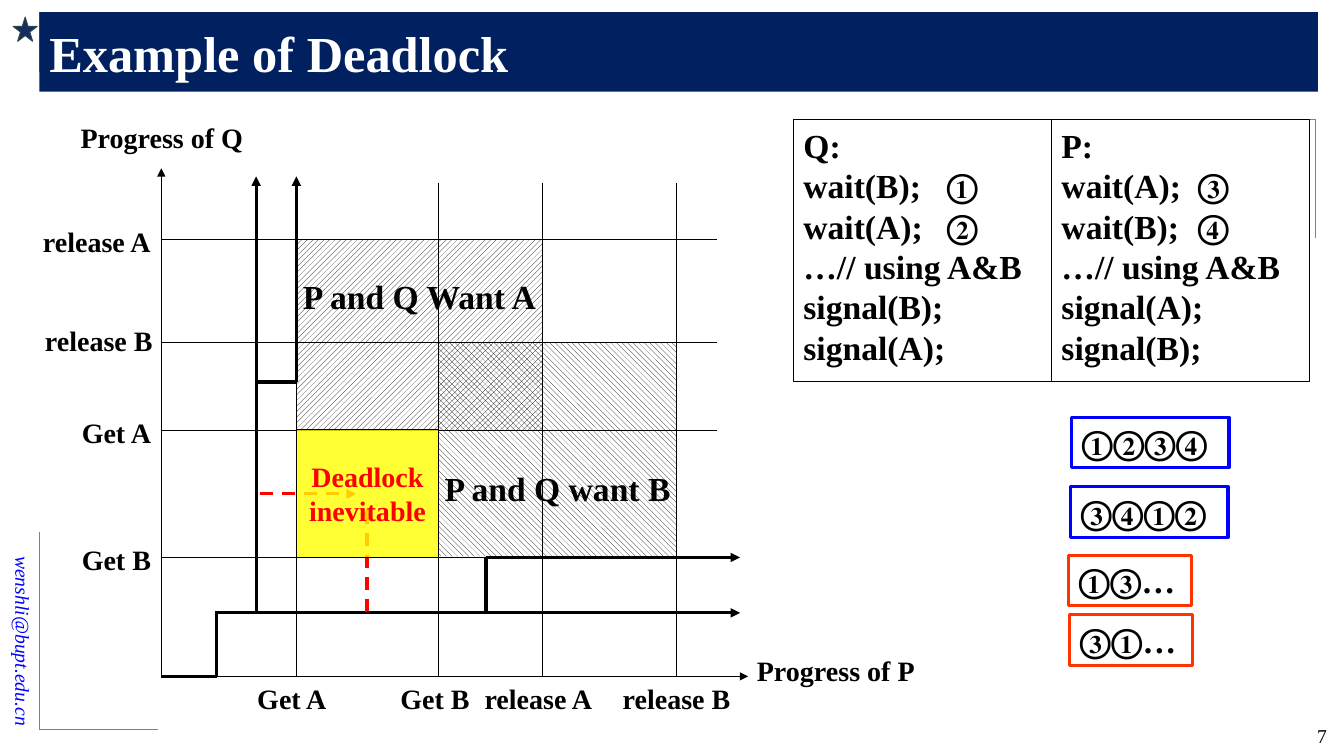
from lxml.etree import SubElement
from pptx import Presentation
from pptx.dml.color import RGBColor
from pptx.enum.dml import MSO_LINE as Dash, MSO_PATTERN as Pattern
from pptx.enum.shapes import MSO_CONNECTOR as Connector, MSO_SHAPE as Shape
from pptx.enum.text import MSO_ANCHOR as Anchor, PP_ALIGN as Align
from pptx.oxml.ns import qn
from pptx.util import Emu, Pt

PX = 9144  # 100 px to the inch

BLACK = RGBColor(0x00, 0x00, 0x00)
WHITE = RGBColor(0xFF, 0xFF, 0xFF)
GREY = RGBColor(0x80, 0x80, 0x80)
NAVY = RGBColor(0x00, 0x20, 0x60)
STAR_FILL = RGBColor(0x17, 0x2E, 0x5C)
STAR_LINE = RGBColor(0x2A, 0x48, 0x54)
BLUE = RGBColor(0x00, 0x00, 0xFF)
RED = RGBColor(0xFF, 0x00, 0x00)
ORANGE = RGBColor(0xFF, 0x33, 0x00)
YELLOW = RGBColor(0xFF, 0xFF, 0x00)


def px(length):
    return Emu(length * PX)


def write_text(shape, text, size=20, color=BLACK, bold=True, italic=False, align=Align.LEFT,
               anchor=Anchor.TOP, wrap=False, tab=None, inset_top=5, inset_bottom=5):
    """Write one paragraph per line of text; tab is a tab stop in px."""
    frame = shape.text_frame
    frame.word_wrap = wrap
    frame.vertical_anchor = anchor
    frame.margin_top, frame.margin_bottom = px(inset_top), px(inset_bottom)
    for index, line in enumerate(text.split("\n")):
        para = frame.add_paragraph() if index else frame.paragraphs[0]
        para.alignment = align
        if tab:
            stops = SubElement(para._p.get_or_add_pPr(), qn("a:tabLst"))
            SubElement(stops, qn("a:tab"), pos=str(px(tab)), algn="l")
        span = para.add_run()
        span.text = line
        font = span.font
        font.name, font.size, font.bold, font.italic = "Times New Roman", Pt(size), bold, italic
        font.color.rgb = color


class DeadlockSlide:
    def __init__(self, deck):
        self.shapes = deck.slides.add_slide(deck.slide_layouts[6]).shapes

    def text(self, x, y, width, height, text, rotation=0, **style):
        box = self.shapes.add_textbox(px(x), px(y), px(width), px(height))
        box.rotation = rotation
        write_text(box, text, **style)

    def box(self, x, y, width, height, text="", fill=None, line=None, weight=0.75,
            kind=Shape.RECTANGLE, **style):
        box = self.shapes.add_shape(kind, px(x), px(y), px(width), px(height))
        box.shadow.inherit = False
        if fill is not None:
            box.fill.solid()
            box.fill.fore_color.rgb = fill
        if line is None:
            box.line.fill.background()
        else:
            box.line.color.rgb = line
            box.line.width = Pt(weight)
        if text:
            write_text(box, text, **style)
        return box

    def hatched(self, x, y, width, height, text, pattern, **style):
        """Add a box whose hatching lets whatever lies behind it show."""
        box = self.box(x, y, width, height, text, size=24, align=Align.CENTER,
                       anchor=Anchor.MIDDLE, **style)
        box.fill.patterned()
        box.fill.pattern = pattern
        box.fill.fore_color.rgb = BLACK
        box.fill.back_color.rgb = WHITE
        back = box._element.spPr.find(".//" + qn("a:bgClr"))
        SubElement(back[0], qn("a:alpha"), val="0")

    def line(self, x1, y1, x2, y2, color=BLACK, weight=0.75, arrow=False, dash=None):
        line = self.shapes.add_connector(Connector.STRAIGHT, px(x1), px(y1), px(x2), px(y2))
        line.line.color.rgb = color
        line.line.width = Pt(weight)
        if dash:
            line.line.dash_style = dash
        if arrow:
            SubElement(line.line._get_or_add_ln(), qn("a:tailEnd"), type="triangle")
        SubElement(line._element.spPr, qn("a:effectLst"))


def add_frame(slide):
    slide.text(-109, 581, 264, 34, "wenshli@bupt.edu.cn", rotation=90, size=14, color=BLUE,
               bold=False, italic=True, align=Align.RIGHT, anchor=Anchor.MIDDLE, wrap=True)
    corners = [(39, 12, 59, 197), (39, 724, -196, 118), (1305, 118, 118, -197)]
    for x, y, rise, run in corners:
        slide.line(x, y, x, y + rise, GREY, 0.5)
        slide.line(x, y, x + run, y, GREY, 0.5)
    slide.box(13, 17, 24, 24, fill=STAR_FILL, line=STAR_LINE, kind=Shape.STAR_5_POINT)
    slide.box(39, 12, 1268, 79, "Example of Deadlock", fill=NAVY, size=36, color=WHITE,
              anchor=Anchor.MIDDLE, wrap=True)
    slide.text(1215, 713, 111, 36, "7", size=14, bold=False, align=Align.RIGHT, wrap=True)


def add_grid(slide):
    left, bottom = 160, 671
    slide.line(left, bottom, left, 167, arrow=True)
    slide.line(left, bottom, 742, bottom, arrow=True)
    for y in (553, 427, 340, 238):
        slide.line(left, y, 711, y)
    for x in (294, 435, 538, 671):
        slide.line(x, bottom, x, 182)
    labels = [
        ("Progress of Q", 69, 115, 183), ("Progress of P", 740, 643, 178),
        ("Get A", 245, 671, 89), ("Get B", 387, 671, 89),
        ("release A", 470, 671, 128), ("release B", 607, 671, 128),
        ("Get A", 71, 407, 89), ("Get B", 71, 533, 89),
        ("release A", 32, 218, 128), ("release B", 34, 316, 128),
    ]
    for label, x, y, width in labels:
        slide.text(x, y, width, 44, label, align=Align.CENTER)


def add_progress_paths(slide):
    steps = [
        (160, 671, 215, 671), (215, 608, 254, 608), (215, 606, 215, 672),
        (254, 608, 254, 490), (254, 608, 364, 608), (254, 379, 294, 379),
        (482, 608, 482, 553),
    ]
    for step in steps:
        slide.line(*step, weight=2.25)
    for step in [(258, 490, 353, 490), (364, 607, 364, 504)]:
        slide.line(*step, color=RED, weight=2.25, arrow=True, dash=Dash.DASH)

    slide.hatched(294, 238, 244, 189, "P and Q Want A", Pattern.WIDE_UPWARD_DIAGONAL,
                  inset_bottom=82)
    slide.hatched(435, 340, 236, 212, "P and Q want B", Pattern.WIDE_DOWNWARD_DIAGONAL,
                  inset_top=82)

    for step in [(294, 379, 294, 175), (482, 553, 734, 553),
                 (254, 379, 254, 175), (482, 608, 734, 608)]:
        slide.line(*step, weight=2.25, arrow=True)
    for step in [(254, 490, 254, 379), (364, 608, 482, 608)]:
        slide.line(*step, weight=2.25)

    deadlock = slide.box(294, 426, 141, 127, "Deadlock\ninevitable", fill=YELLOW, line=BLACK,
                         color=RED, align=Align.CENTER, anchor=Anchor.MIDDLE)
    color = deadlock._element.spPr.find(qn("a:solidFill"))[0]
    SubElement(color, qn("a:alpha"), val="80000")


def add_processes(slide):
    programs = [
        (787, 142, "Q:\nwait(B);\t①\nwait(A);\t②\n…// using A&B\nsignal(B);\nsignal(A);"),
        (1043, 135, "P:\nwait(A);\t③\nwait(B);\t④\n…// using A&B\nsignal(A);\nsignal(B);"),
    ]
    for x, tab, code in programs:
        slide.box(x, 119, 256, 260, code, fill=WHITE, line=BLACK, size=24, tab=tab)
    orders = [
        ("①②③④", 1063, 414, 156, BLUE), ("③④①②", 1062, 483, 156, BLUE),
        ("①③…", 1060, 551, 122, ORANGE), ("③①…", 1061, 610, 122, ORANGE),
    ]
    for order, x, y, width, color in orders:
        slide.box(x, y, width, 50, order, fill=WHITE, line=color, weight=2.25, size=24)


def main():
    deck = Presentation()
    deck.slide_width, deck.slide_height = px(1333), px(750)
    slide = DeadlockSlide(deck)
    add_frame(slide)
    add_grid(slide)
    add_progress_paths(slide)
    add_processes(slide)
    deck.save("out.pptx")


if __name__ == "__main__":
    main()
